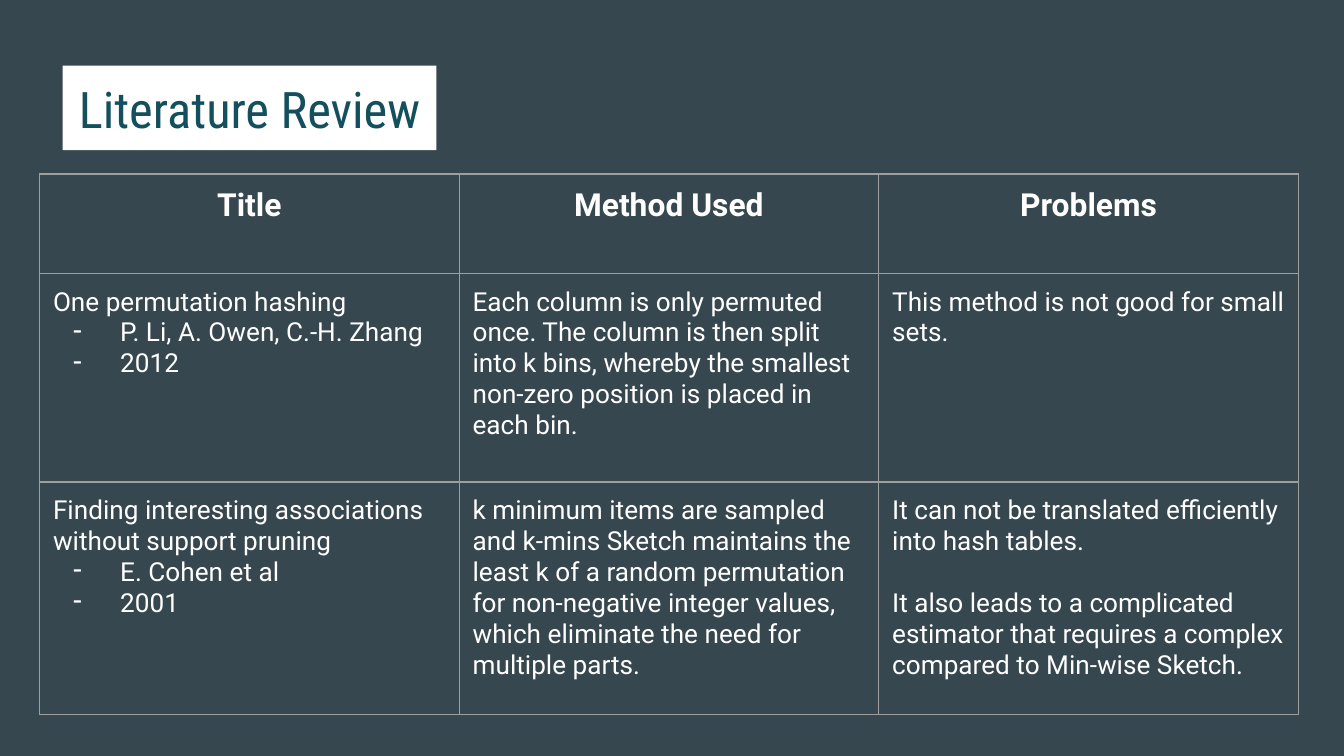
from dataclasses import dataclass

from lxml import etree
from pptx import Presentation
from pptx.dml.color import RGBColor
from pptx.enum import shapes, text
from pptx.oxml import ns
from pptx.util import Pt


@dataclass(frozen=True)
class Theme:
    """Colours, fonts and sizes of the slide."""
    background: str = "37474F"
    panel: str = "FFFFFF"
    title: str = "134F5C"
    body: str = "FFFFFF"
    border: str = "9E9E9E"
    title_font: str = "Roboto Condensed"
    body_font: str = "Roboto"
    title_size: float = 27
    head_size: float = 17
    body_size: float = 14
    inset: float = 7.2
    border_width: float = 0.75
    paragraph_gap: float = 16.5


THEME = Theme()
HEADERS = ["Title", "Method Used", "Problems"]
STUDIES = [
    (
        ["One permutation hashing", "- P. Li, A. Owen, C.-H. Zhang", "- 2012"],
        ["Each column is only permuted once. The column is then split into k bins, "
         "whereby the smallest non-zero position is placed in each bin."],
        ["This method is not good for small sets."],
    ),
    (
        ["Finding interesting associations without support pruning",
         "- E. Cohen et al", "- 2001"],
        ["k minimum items are sampled and k-mins Sketch maintains the least k of a "
         "random permutation for non-negative integer values, which eliminate the "
         "need for multiple parts."],
        ["It can not be translated efficiently into hash tables.",
         "^ It also leads to a complicated estimator that requires a complex",
         "compared to Min-wise Sketch."],
    ),
]


def add_run(p, words, font, size, color, bold=False):
    """Add one styled run to a paragraph."""
    r = p.add_run()
    r.text = words
    r.font.name = font
    r.font.size = Pt(size)
    r.font.bold = bold
    r.font.color.rgb = RGBColor.from_string(color)


def set_margins(box):
    """Give a text frame or cell equal insets."""
    box.margin_left = box.margin_right = Pt(THEME.inset)
    box.margin_top = box.margin_bottom = Pt(THEME.inset)


def add_dash(p):
    """Turn a paragraph into a dashed list item."""
    pPr = p._p.get_or_add_pPr()
    pPr.set("marL", str(Pt(36)))
    pPr.set("indent", str(-Pt(25.2)))
    color = etree.SubElement(pPr, ns.qn("a:buClr"))
    etree.SubElement(color, ns.qn("a:srgbClr"), val=THEME.body)
    etree.SubElement(pPr, ns.qn("a:buChar"), char="-")


def add_borders(cell):
    """Draw a thin line on every side of a cell."""
    tcPr = cell._tc.get_or_add_tcPr()
    for side in ("lnL", "lnR", "lnT", "lnB"):
        line = etree.SubElement(tcPr, ns.qn(f"a:{side}"), w=str(Pt(THEME.border_width)))
        fill = etree.SubElement(line, ns.qn("a:solidFill"))
        etree.SubElement(fill, ns.qn("a:srgbClr"), val=THEME.border)


def fill_cell(cell, lines, size, bold=False, align=text.PP_ALIGN.LEFT):
    """Write lines in a cell: "- " marks a list item, "^ " a gap above."""
    set_margins(cell)
    add_borders(cell)
    cell.fill.background()
    tf = cell.text_frame
    for i, line in enumerate(lines):
        p = tf.add_paragraph() if i else tf.paragraphs[0]
        p.alignment = align
        if line.startswith("- "):
            add_dash(p)
        elif line.startswith("^ "):
            p.space_before = Pt(THEME.paragraph_gap)
        words = line.removeprefix("- ").removeprefix("^ ")
        add_run(p, words, THEME.body_font, size, THEME.body, bold)


def add_title(s, left, top, width, height):
    """Place the heading on its white panel."""
    sp = s.shapes.add_shape(shapes.MSO_SHAPE.RECTANGLE,
                            Pt(left), Pt(top), Pt(width), Pt(height))
    sp.shadow.inherit = False
    sp.fill.solid()
    sp.fill.fore_color.rgb = RGBColor.from_string(THEME.panel)
    sp.line.fill.background()
    tf = sp.text_frame
    tf.word_wrap = True
    tf.vertical_anchor = text.MSO_ANCHOR.MIDDLE
    set_margins(tf)
    p = tf.paragraphs[0]
    p.alignment = text.PP_ALIGN.CENTER
    add_run(p, "Literature Review", THEME.title_font, THEME.title_size, THEME.title)


def add_review_table(s, left, top, width, row_heights):
    """Place the table of studies with equal columns."""
    frame = s.shapes.add_table(len(row_heights), len(HEADERS), Pt(left), Pt(top),
                               Pt(width), Pt(sum(row_heights)))
    table = frame.table
    table.first_row = table.horz_banding = False
    for column in table.columns:
        column.width = Pt(width / len(HEADERS))
    for row, height in zip(table.rows, row_heights):
        row.height = Pt(height)
    for c, header in enumerate(HEADERS):
        fill_cell(table.cell(0, c), [header], THEME.head_size, True, text.PP_ALIGN.CENTER)
    for r, study in enumerate(STUDIES, 1):
        for c, lines in enumerate(study):
            fill_cell(table.cell(r, c), lines, THEME.body_size)


def main():
    """Build and save the slide."""
    prs = Presentation()
    prs.slide_width, prs.slide_height = Pt(720), Pt(405)
    s = prs.slides.add_slide(prs.slide_layouts[6])
    s.background.fill.solid()
    s.background.fill.fore_color.rgb = RGBColor.from_string(THEME.background)
    add_title(s, 33.6, 35.2, 200.2, 45.2)
    add_review_table(s, 21.2, 93.2, 674.4, [53.2, 111.8, 124.5])
    prs.save("out.pptx")


if __name__ == "__main__":
    main()
